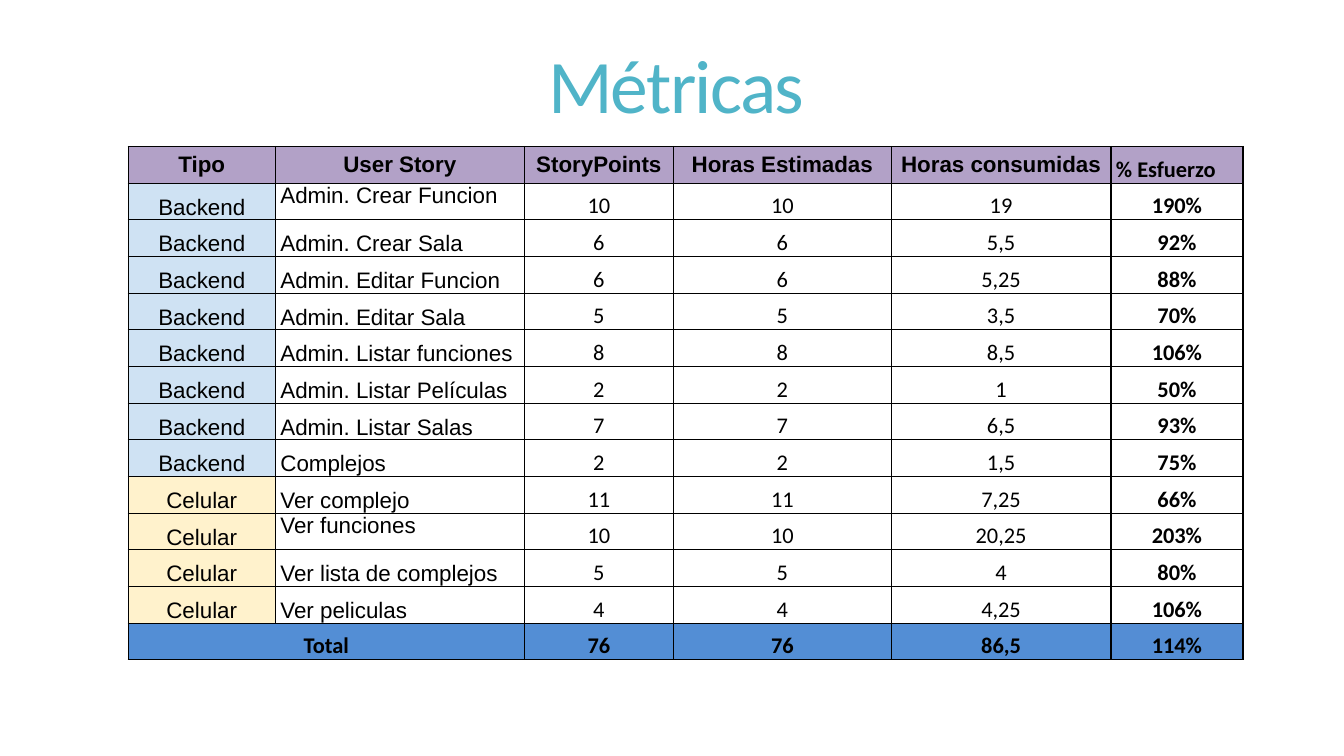
from lxml.etree import SubElement as Sub
from pptx import Presentation
from pptx.dml.color import RGBColor
from pptx.enum.text import MSO_ANCHOR as Anchor, PP_ALIGN as Align
from pptx.oxml.ns import qn
from pptx.util import Pt

BLACK = RGBColor(0x00, 0x00, 0x00)
TEAL = RGBColor(0x50, 0xB4, 0xC8)
MAUVE = RGBColor(0xB2, 0xA1, 0xC7)
SKY = RGBColor(0xCF, 0xE2, 0xF3)
CREAM = RGBColor(0xFF, 0xF2, 0xCC)
BLUE = RGBColor(0x53, 0x8E, 0xD5)
STEEL = RGBColor(0x54, 0x8D, 0xD4)

WIDTHS = [105.12, 177.84, 106.56, 155.52, 156.96, 94.32]
HEAD = ["Tipo", "User Story", "StoryPoints", "Horas Estimadas",
        "Horas consumidas", "% Esfuerzo"]
BACK = [
    ("Admin. Crear Funcion", "10", "19", "190%"),
    ("Admin. Crear Sala", "6", "5,5", "92%"),
    ("Admin. Editar Funcion", "6", "5,25", "88%"),
    ("Admin. Editar Sala", "5", "3,5", "70%"),
    ("Admin. Listar funciones", "8", "8,5", "106%"),
    ("Admin. Listar Películas", "2", "1", "50%"),
    ("Admin. Listar Salas", "7", "6,5", "93%"),
    ("Complejos", "2", "1,5", "75%"),
]
FRONT = [
    ("Ver complejo", "11", "7,25", "66%"),
    ("Ver funciones", "10", "20,25", "203%"),
    ("Ver lista de complejos", "5", "4", "80%"),
    ("Ver peliculas", "4", "4,25", "106%"),
]
TOTAL = ["Total", "", "76", "76", "86,5", "114%"]
RAISED = ["Admin. Crear Funcion", "Ver funciones"]


class Deck:
    sans = "Arial"
    body = "Calibri"
    size = 16
    high = 26.2

    def __init__(self, slide):
        self.slide = slide

    def label(self, para, text, face, size, color, bold=False, align=Align.CENTER):
        run = para.add_run()
        run.text = text
        para.alignment = align
        font = para.font
        font.name, font.size, font.bold = face, Pt(size), bold
        font.color.rgb = color
        return run

    def title(self, text, left, top, width, height):
        box = self.slide.shapes.add_textbox(Pt(left), Pt(top), Pt(width), Pt(height))
        frame = box.text_frame
        frame.word_wrap = True
        frame.vertical_anchor = Anchor.MIDDLE
        para = frame.paragraphs[0]
        para.line_spacing = 0.85
        run = self.label(para, text, self.body, 54, TEAL)
        run._r.get_or_add_rPr().set("spc", "-120")

    def grid(self, left, top, widths, count):
        frame = self.slide.shapes.add_table(
            count, len(widths), Pt(left), Pt(top),
            Pt(sum(widths)), Pt(self.high * count))
        table = frame.table
        table.first_row = table.horz_banding = False
        for col, width in zip(table.columns, widths):
            col.width = Pt(width)
        for row in table.rows:
            row.height = Pt(self.high)
        return table

    def border(self, cell):
        props = cell._tc.get_or_add_tcPr()
        for side in ("lnL", "lnR", "lnT", "lnB"):
            line = Sub(props, qn(f"a:{side}"), w=str(Pt(1)))
            fill = Sub(line, qn("a:solidFill"))
            Sub(fill, qn("a:srgbClr"), val=str(BLACK))

    def cell(self, cell, text, face, fill=None, bold=False,
             align=Align.CENTER, anchor=Anchor.BOTTOM):
        cell.margin_left = cell.margin_right = Pt(3.6)
        cell.margin_top = cell.margin_bottom = 0
        cell.vertical_anchor = anchor
        self.border(cell)
        if fill is None:
            cell.fill.background()
        else:
            cell.fill.solid()
            cell.fill.fore_color.rgb = fill
        if text:
            self.label(cell.text_frame.paragraphs[0], text, face,
                       self.size, BLACK, bold, align)

    def header(self, table, names):
        last = len(names) - 1
        for col, name in enumerate(names):
            if col < last:
                self.cell(table.cell(0, col), name, self.sans, MAUVE, True,
                          anchor=Anchor.MIDDLE)
            else:
                self.cell(table.cell(0, col), name, self.body, MAUVE, True, Align.LEFT)

    def story(self, table, row, kind, tint, name, points, spent, effort):
        anchor = Anchor.TOP if name in RAISED else Anchor.BOTTOM
        self.cell(table.cell(row, 0), kind, self.sans, tint)
        self.cell(table.cell(row, 1), name, self.sans, align=Align.LEFT, anchor=anchor)
        for col, text in enumerate((points, points, spent), 2):
            self.cell(table.cell(row, col), text, self.body)
        self.cell(table.cell(row, 5), effort, self.body, bold=True)

    def total(self, table, row, texts):
        for col, text in enumerate(texts):
            tint = STEEL if col == len(texts) - 1 else BLUE
            self.cell(table.cell(row, col), text, self.body, tint, True)
        table.cell(row, 0).merge(table.cell(row, 1))


def main():
    prs = Presentation()
    prs.slide_width, prs.slide_height = Pt(960), Pt(540)
    deck = Deck(prs.slides.add_slide(prs.slide_layouts[6]))
    deck.title("Métricas", 159, 11.5, 648, 106)
    rows = [("Backend", SKY, *item) for item in BACK]
    rows += [("Celular", CREAM, *item) for item in FRONT]
    table = deck.grid(91.6, 104.6, WIDTHS, len(rows) + 2)
    deck.header(table, HEAD)
    for row, item in enumerate(rows, 1):
        deck.story(table, row, *item)
    deck.total(table, len(rows) + 1, TOTAL)
    prs.save("out.pptx")


if __name__ == "__main__":
    main()
